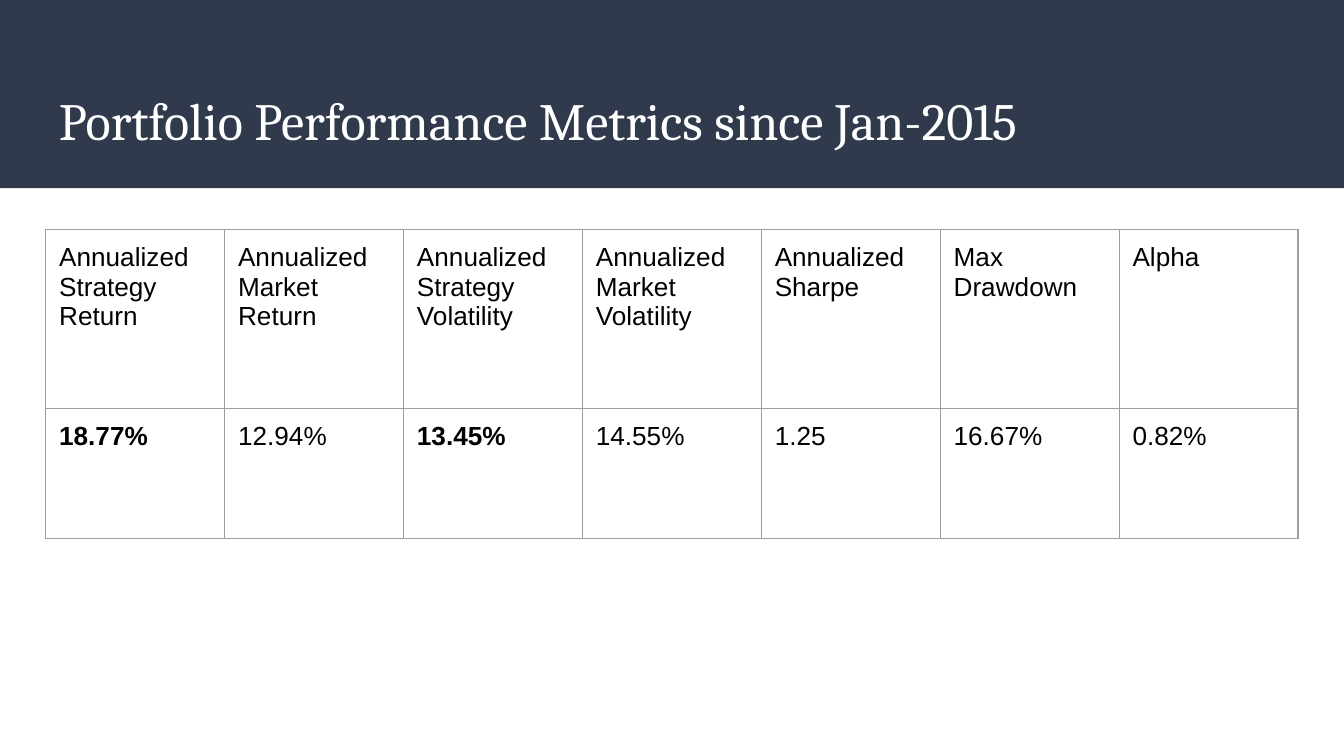
from lxml import etree
from pptx import Presentation
from pptx.dml.color import RGBColor
from pptx.enum.shapes import MSO_SHAPE
from pptx.enum.text import MSO_ANCHOR
from pptx.oxml.ns import qn
from pptx.util import Inches, Pt

RECTANGLE = MSO_SHAPE.RECTANGLE
MIDDLE = MSO_ANCHOR.MIDDLE

# Content
TITLE = "Portfolio Performance Metrics since Jan-2015"
METRICS = [  # label, value, emphasised
    ("Annualized Strategy Return", "18.77%", True),
    ("Annualized Market Return", "12.94%", False),
    ("Annualized Strategy Volatility", "13.45%", True),
    ("Annualized Market Volatility", "14.55%", False),
    ("Annualized Sharpe", "1.25", False),
    ("Max Drawdown", "16.67%", False),
    ("Alpha", "0.82%", False),
]
COLORS = {"band": "31394D", "title": "FFFFFF", "text": "000000", "border": "9E9E9E"}

# Layout, in inches, on a 16:9 slide
WIDTH = 10
HEIGHT = WIDTH * 9 / 16
MARGIN = 0.34
INSET = 0.1
BAND_HEIGHT = 1.4
TITLE_TOP, TITLE_HEIGHT = 0.55, 0.68
TABLE_TOP = 1.71
ROW_HEIGHTS = [1.33, 0.97]
CONTENT_WIDTH = WIDTH - 2 * MARGIN


def color(name):
    return RGBColor.from_string(COLORS[name])


def set_insets(target):
    target.margin_left = target.margin_right = Inches(INSET)
    target.margin_top = target.margin_bottom = Inches(INSET)


def style_font(para, face, size, color_name, bold=False):
    para.font.name = face
    para.font.size = Pt(size)
    para.font.bold = bold
    para.font.color.rgb = color(color_name)


def add_borders(cell):
    properties = cell._tc.get_or_add_tcPr()
    for index, side in enumerate(("lnL", "lnR", "lnT", "lnB")):
        line = etree.Element(qn(f"a:{side}"), w=str(Pt(0.75)))
        fill = etree.SubElement(line, qn("a:solidFill"))
        etree.SubElement(fill, qn("a:srgbClr"), val=COLORS["border"])
        properties.insert(index, line)


deck = Presentation()
deck.slide_width, deck.slide_height = Inches(WIDTH), Inches(HEIGHT)
page = deck.slides.add_slide(deck.slide_layouts[6])

# Header band
band = page.shapes.add_shape(RECTANGLE, 0, 0, Inches(WIDTH), Inches(BAND_HEIGHT))
band.shadow.inherit = False
band.fill.solid()
band.fill.fore_color.rgb = color("band")
band.line.fill.background()

# Title
box = page.shapes.add_textbox(
    Inches(MARGIN), Inches(TITLE_TOP), Inches(CONTENT_WIDTH), Inches(TITLE_HEIGHT))
frame = box.text_frame
frame.word_wrap = True
frame.vertical_anchor = MIDDLE
set_insets(frame)
frame.text = TITLE
style_font(frame.paragraphs[0], "Cambria", 28, "title")

# Metrics table
table = page.shapes.add_table(
    len(ROW_HEIGHTS), len(METRICS), Inches(MARGIN), Inches(TABLE_TOP),
    Inches(CONTENT_WIDTH), Inches(sum(ROW_HEIGHTS))).table
table.first_row = table.horz_banding = False
for row, height in zip(table.rows, ROW_HEIGHTS):
    row.height = Inches(height)
for column, (label, value, emphasised) in enumerate(METRICS):
    for row, (text, bold) in enumerate([(label, False), (value, emphasised)]):
        cell = table.cell(row, column)
        cell.text = text
        cell.fill.background()
        set_insets(cell)
        style_font(cell.text_frame.paragraphs[0], "Arial", 14, "text", bold)
        add_borders(cell)

deck.save("out.pptx")
